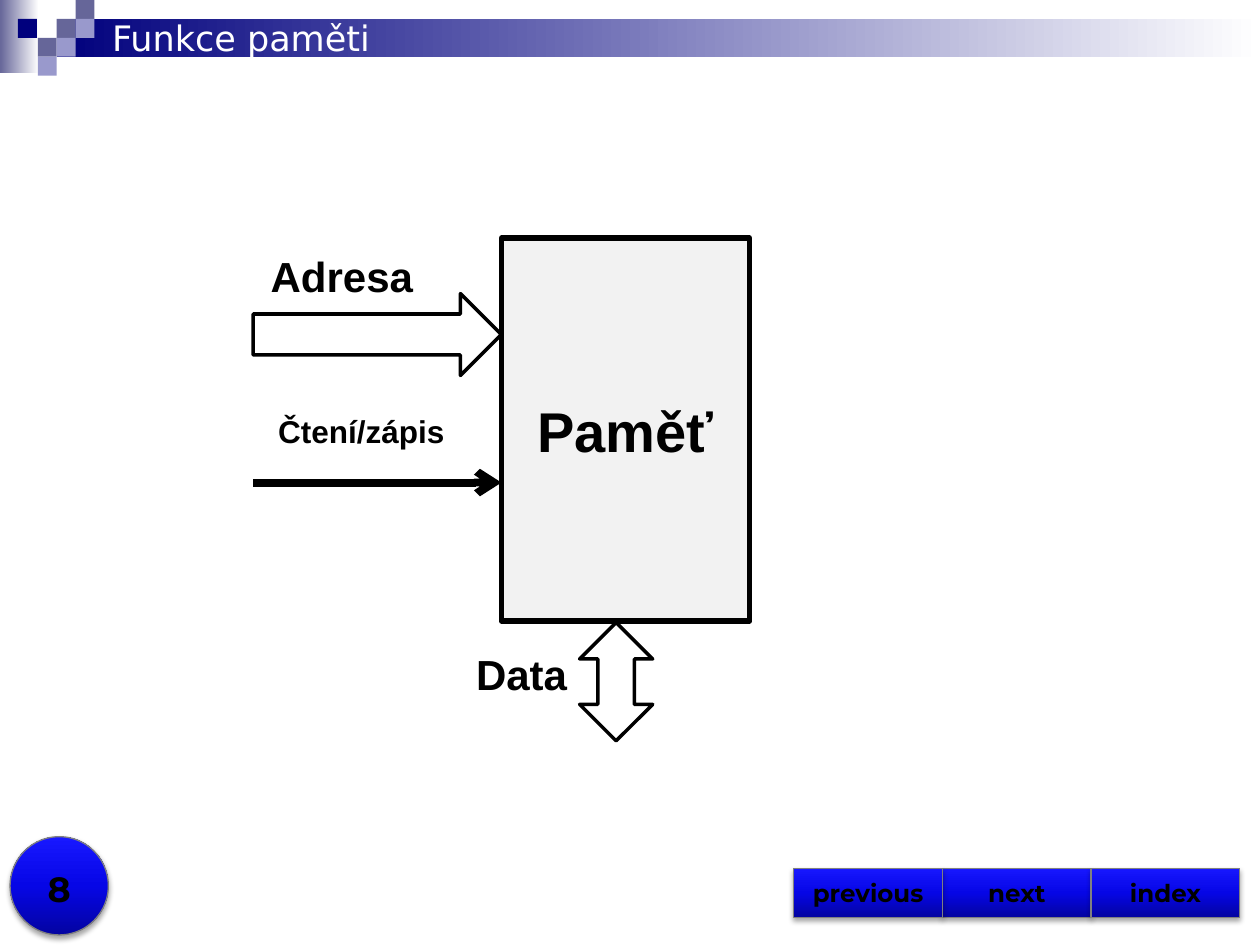
from copy import deepcopy
from lxml.etree import SubElement
from pptx import Presentation
from pptx.dml.color import RGBColor as RGB
from pptx.enum.shapes import MSO_CONNECTOR as CONN, MSO_SHAPE as SHAPE
from pptx.enum.text import MSO_ANCHOR as ANCHOR, MSO_AUTO_SIZE as AUTO, PP_ALIGN as ALIGN
from pptx.oxml.ns import qn
from pptx.util import Inches, Pt

THEME = {
    "black": "000000", "white": "FFFFFF", "gray": "808080", "panel": "F2F2F2",
    "navy": "00007D", "slate": "666699", "lilac": "9999CC",
    "button": ["0404A1", "0606E6", "1818FF"],
    "title": {"name": "DejaVu Sans", "size": Pt(20), "bold": False},
    "memory": {"name": "Arial", "size": Pt(32), "bold": True},
    "bus": {"name": "Arial", "size": Pt(24), "bold": True},
    "control": {"name": "Arial", "size": Pt(18), "bold": True},
    "number": {"name": "Montserrat", "size": Pt(20), "bold": True},
    "nav": {"name": "Montserrat", "size": Pt(14), "bold": True},
}

prs = Presentation()
prs.slide_width, prs.slide_height = Inches(10), Inches(7.5)
COL, ROW = prs.slide_width / 100, prs.slide_height / 75
s = prs.slides.add_slide(prs.slide_layouts[5])


def draw(kind, x, y, w, h, fill=None, angle=0, line=None, width=0, shadow=False):
    sp = s.shapes.add_shape(kind, int(x * COL), int(y * ROW), int(w * COL), int(h * ROW))
    sp.shadow.inherit = False
    if isinstance(fill, list):
        sp.fill.gradient()
        sp.fill.gradient_angle = angle
        stops = sp._element.spPr.find(qn("a:gradFill")).find(qn("a:gsLst"))
        if len(fill) == 3:
            stops.insert(1, deepcopy(stops[0]))
        for i, (stop, color) in enumerate(zip(sp.fill.gradient_stops, fill)):
            stop.position = i / (len(fill) - 1)
            stop.color.rgb = RGB.from_string(color)
            for mod in list(stops[i][0]):
                stops[i][0].remove(mod)
    elif fill:
        sp.fill.solid()
        sp.fill.fore_color.rgb = RGB.from_string(fill)
    else:
        sp.fill.background()
    if line:
        sp.line.color.rgb = RGB.from_string(line)
        sp.line.width = Pt(width)
    else:
        sp.line.fill.background()
    if shadow:
        effects = sp._element.spPr.find(qn("a:effectLst"))
        shade = SubElement(effects, qn("a:outerShdw"), blurRad=str(Pt(3.1)),
                           dist=str(Pt(1.8)), dir="5400000", rotWithShape="0")
        tint = SubElement(shade, qn("a:srgbClr"), val=THEME["black"])
        SubElement(tint, qn("a:alpha"), val="35000")
    return sp


def write(sp, text, style, color="black", align=ALIGN.CENTER, **frame):
    tf = sp.text_frame
    frame = {"vertical_anchor": ANCHOR.MIDDLE, "word_wrap": True, "auto_size": AUTO.NONE} | frame
    for name, value in frame.items():
        setattr(tf, name, value)
    p = tf.paragraphs[0]
    p.alignment = align
    r = p.add_run()
    r.text = text
    for name, value in THEME[style].items():
        setattr(r.font, name, value)
    r.font.color.rgb = RGB.from_string(THEME[color])


draw(SHAPE.RECTANGLE, 0, 0, 3.1, 5.8, [THEME["slate"], THEME["white"]])
draw(SHAPE.RECTANGLE, 4.5, 1.5, 95.5, 3, [THEME["navy"], THEME["white"]])
TILE = 1.5
for col, row, color in [(3, 1, "slate"), (4, 0, "slate"), (4, 1, "lilac"), (2, 2, "slate"),
                        (0.95, 1, "navy"), (3, 2, "lilac"), (2, 3, "lilac")]:
    draw(SHAPE.RECTANGLE, col * TILE, row * TILE, TILE, TILE, THEME[color])

button = {"fill": THEME["button"], "angle": 90, "line": THEME["gray"], "width": 0.75, "shadow": True}
draw(SHAPE.OVAL, 0.8, 66.4, 7.8, 7.8, **button)
number = s.shapes.add_textbox(0, int(67.7 * ROW), int(9.4 * COL), int(5 * ROW))
write(number, "8", "number", vertical_anchor=ANCHOR.BOTTOM)
for i, label in [(1, "next"), (0, "previous"), (2, "index")]:
    sp = draw(SHAPE.ACTION_BUTTON_CUSTOM, 63 + i * 11.8, 68.9, 11.8, 3.9, **button)
    write(sp, label, "nav")

title = s.shapes.title
box = {"left": 7.9 * COL, "top": 0.8 * ROW, "width": 65.8 * COL, "height": 4.4 * ROW}
for name, value in box.items():
    setattr(title, name, int(value))
write(title, "Funkce paměti", "title", "white", ALIGN.LEFT)
title._element.getparent().append(title._element)

LEFT, EDGE = 20.1, 39.8
memory = draw(SHAPE.RECTANGLE, EDGE, 18.9, 19.7, 30.4, THEME["panel"], line=THEME["black"], width=3)
write(memory, "Paměť", "memory")

for text, style, x, y, w, h in [("Adresa", "bus", 20.5, 19.4, 13.4, 5),
                                ("Data", "bus", 36.8, 51, 9.3, 5),
                                ("Čtení/zápis", "control", 21.1, 32.2, 15.3, 4)]:
    sp = s.shapes.add_textbox(int(x * COL), int(y * ROW), int(w * COL), int(h * ROW))
    write(sp, text, style, align=ALIGN.LEFT, word_wrap=False, auto_size=AUTO.SHAPE_TO_FIT_TEXT)

y = int(38.3 * ROW)
control = s.shapes.add_connector(CONN.STRAIGHT, int(LEFT * COL), y, int(EDGE * COL), y)
control.line.color.rgb = RGB.from_string(THEME["black"])
control.line.width = Pt(4.5)
SubElement(control.line._get_or_add_ln(), qn("a:tailEnd"), type="arrow")
SubElement(control._element.spPr, qn("a:effectLst"))

outline = {"line": THEME["black"], "width": 2}
draw(SHAPE.RIGHT_ARROW, LEFT, 23.3, EDGE - LEFT, 6.5, **outline)
data = draw(SHAPE.LEFT_RIGHT_ARROW, 44.2, 51.2, 9.4, 5.8, **outline)
data.rotation = 270

prs.save("out.pptx")
